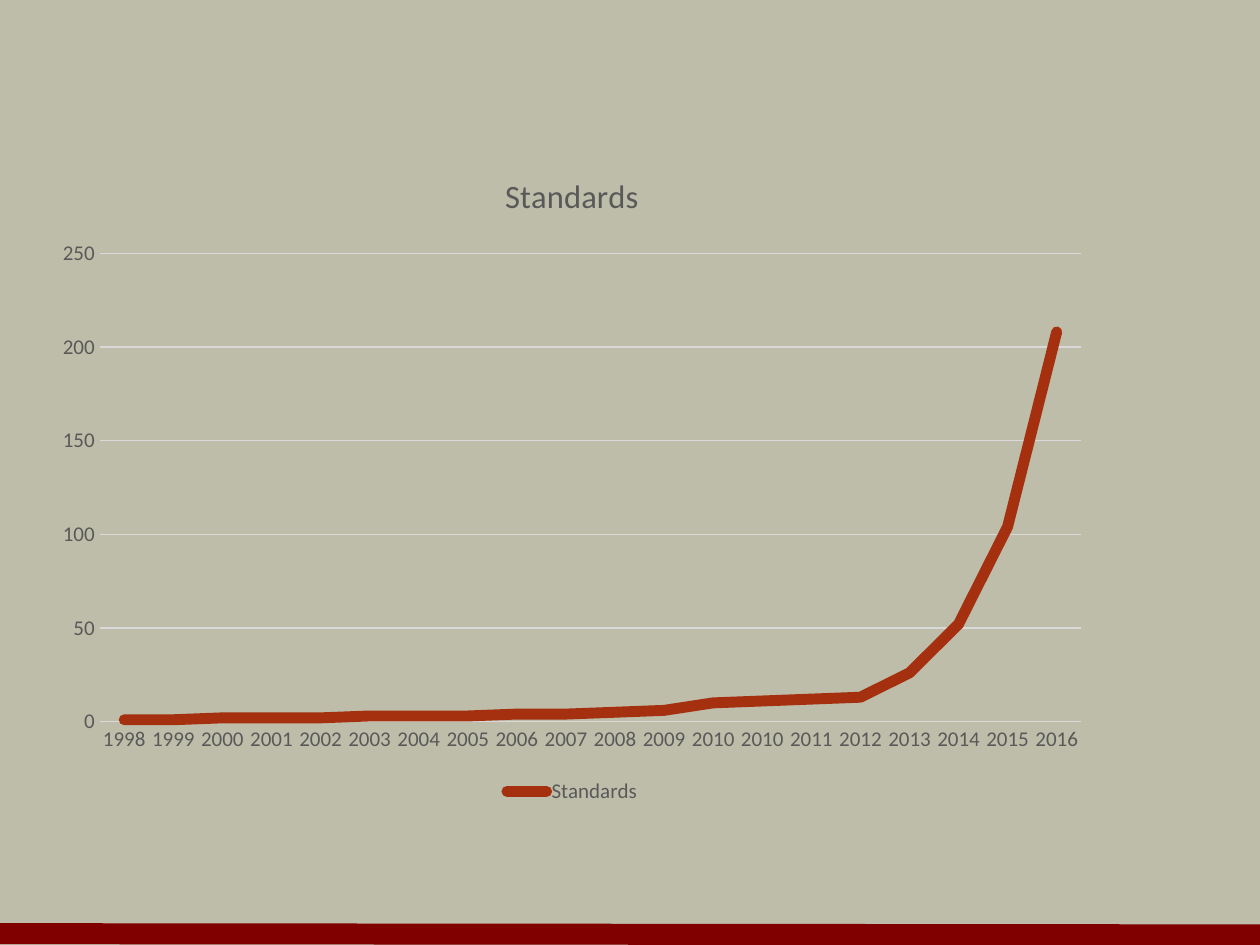
from dataclasses import dataclass

from lxml import etree
from pptx import Presentation
from pptx.chart.data import CategoryChartData
from pptx.dml.color import RGBColor
from pptx.enum.chart import XL_CHART_TYPE, XL_LEGEND_POSITION, XL_MARKER_STYLE, XL_TICK_MARK
from pptx.enum.shapes import MSO_CONNECTOR
from pptx.oxml.ns import qn
from pptx.util import Inches, Pt

LINE_CHART = XL_CHART_TYPE.LINE
LEGEND_BOTTOM = XL_LEGEND_POSITION.BOTTOM
NO_MARKER = XL_MARKER_STYLE.NONE
NO_TICK = XL_TICK_MARK.NONE
STRAIGHT = MSO_CONNECTOR.STRAIGHT


@dataclass(frozen=True)
class Theme:
    font: str = "Calibri"
    background: str = "BDBDA9"
    footer: str = "800000"
    text: str = "595959"
    grid: str = "D9D9D9"
    growth: str = "A5300F"
    title_size: float = 18.6
    label_size: float = 12
    footer_width: float = 12
    grid_width: float = 0.75
    growth_width: float = 6.25


THEME = Theme()
YEARS = [*range(1998, 2011), *range(2010, 2017)]
STANDARDS = [1, 1, 2, 2, 2, 3, 3, 3, 4, 4, 5, 6, 10, 11, 12, 13, 26, 52, 104, 208]


def style_font(font, size):
    font.name = THEME.font
    font.size = Pt(size)
    font.bold = False
    font.color.rgb = RGBColor.from_string(THEME.text)


def style_line(line, color, width):
    line.color.rgb = RGBColor.from_string(color)
    line.width = Pt(width)


def paint_background(slide):
    fill = slide.background.fill
    fill.solid()
    fill.fore_color.rgb = RGBColor.from_string(THEME.background)


def add_footer_rule(slide):
    rule = slide.shapes.add_connector(
        STRAIGHT, Inches(0), Inches(7.41), Inches(10), Inches(7.42)
    )
    style_line(rule.line, THEME.footer, THEME.footer_width)
    etree.SubElement(rule._element.spPr, qn("a:effectLst"))


def style_title(chart, wording):
    chart.has_title = True
    chart.chart_title.include_in_layout = False
    run = chart.chart_title.text_frame.paragraphs[0].add_run()
    run.text = wording
    style_font(run.font, THEME.title_size)


def style_axes(chart):
    years, counts = chart.category_axis, chart.value_axis
    for axis in (years, counts):
        axis.major_tick_mark = NO_TICK
        axis.minor_tick_mark = NO_TICK
        style_font(axis.tick_labels.font, THEME.label_size)
    style_line(years.format.line, THEME.grid, THEME.grid_width)
    counts.format.line.fill.background()
    counts.minimum_scale = 0
    counts.maximum_scale = 250
    counts.major_unit = 50
    counts.has_major_gridlines = True
    style_line(counts.major_gridlines.format.line, THEME.grid, THEME.grid_width)


def style_legend(chart):
    chart.has_legend = True
    chart.legend.position = LEGEND_BOTTOM
    chart.legend.include_in_layout = False
    style_font(chart.legend.font, THEME.label_size)


def style_growth(chart):
    chart.plots[0].vary_by_categories = False
    growth = chart.plots[0].series[0]
    growth.smooth = False
    growth.marker.style = NO_MARKER
    stroke = growth.format.line
    style_line(stroke, THEME.growth, THEME.growth_width)
    outline = growth._element.spPr.find(qn("a:ln"))
    outline.set("cap", "rnd")
    etree.SubElement(outline, qn("a:round"))


def add_growth_chart(slide):
    data = CategoryChartData()
    data.categories = [str(year) for year in YEARS]
    data.add_series("Standards", STANDARDS)
    chart = slide.shapes.add_chart(
        LINE_CHART, Inches(0.33), Inches(1.17), Inches(8.42), Inches(5.25), data
    ).chart
    style_font(chart.font, THEME.label_size)
    style_title(chart, "Standards")
    style_axes(chart)
    style_legend(chart)
    style_growth(chart)


def main():
    deck = Presentation()
    deck.slide_width = Inches(10)
    deck.slide_height = Inches(7.5)
    slide = deck.slides.add_slide(deck.slide_layouts[6])
    paint_background(slide)
    add_footer_rule(slide)
    add_growth_chart(slide)
    deck.save("out.pptx")


if __name__ == "__main__":
    main()
